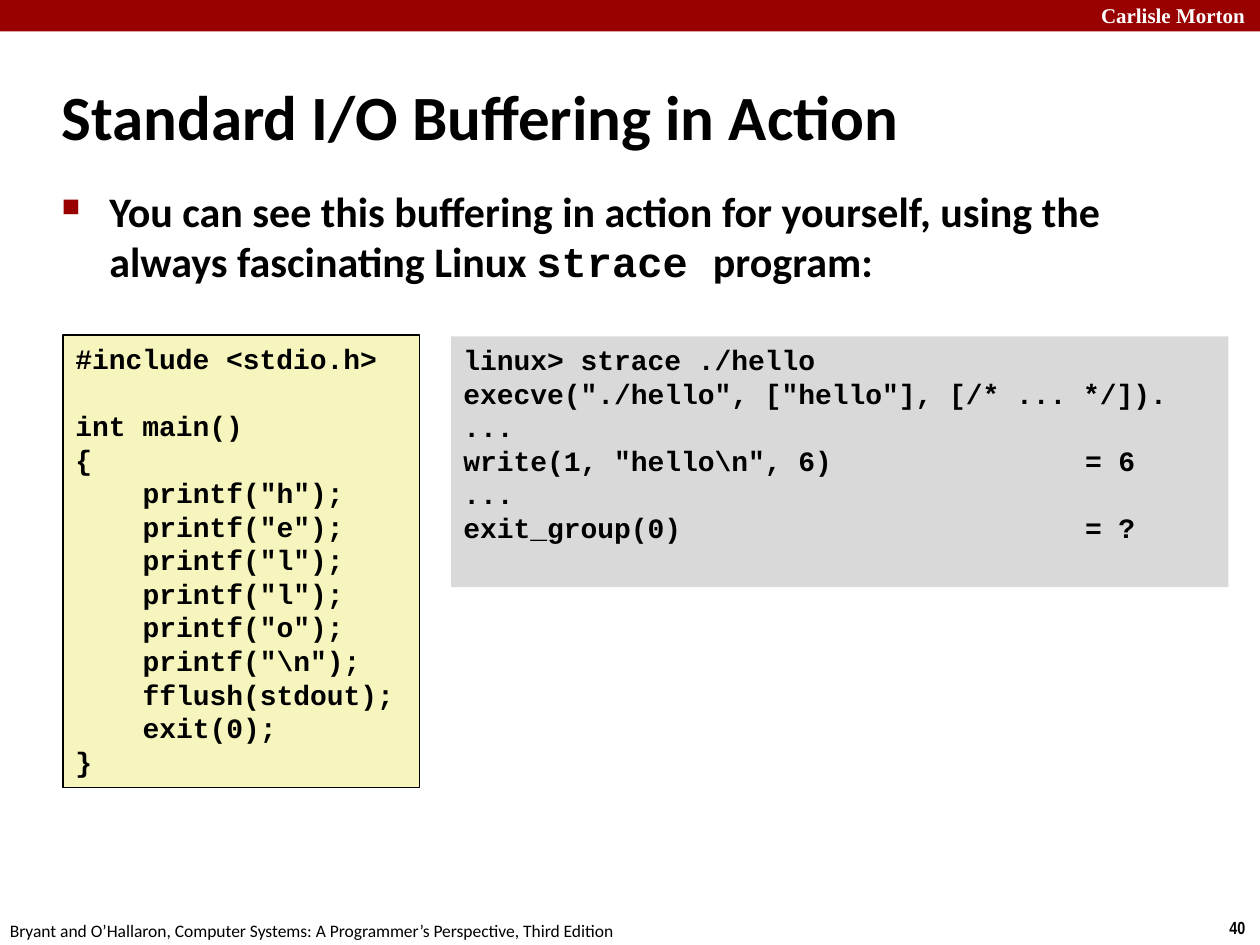
from dataclasses import dataclass

from lxml import etree
from pptx import Presentation
from pptx import util as u
from pptx.dml.color import RGBColor
from pptx.enum import shapes, text
from pptx.oxml import ns


@dataclass(frozen=True)
class Theme:
    red: str = "990000"
    white: str = "FFFFFF"
    black: str = "000000"
    grey: str = "D9D9D9"
    yellow: str = "F6F5BD"
    sans: str = "Calibri"
    serif: str = "Times New Roman"
    narrow: str = "Arial Narrow"
    mono: str = "Courier New"
    title_size: float = 36
    body_size: float = 24
    code_size: float = 16
    code_pitch: float = 19.2
    header_size: float = 12
    footer_size: float = 10


THEME = Theme()
CODE_CHAR = u.Pt(THEME.code_size * 0.6)
RESULT_COLUMN = 37

TRACE = [
    "linux> strace ./hello",
    'execve("./hello", ["hello"], [/* ... */]).',
    "...",
    'write(1, "hello\\n", 6)\t= 6',
    "...",
    "exit_group(0)\t= ?",
]
PROGRAM_OPENING = ["#include <stdio.h>", "int main()", "{"]
PROGRAM_BODY = [f'printf("{letter}");' for letter in ("h", "e", "l", "l", "o", "\\n")]
PROGRAM_BODY += ["fflush(stdout);", "exit(0);"]


def write(paragraph, wording, font=THEME.sans, size=THEME.body_size,
          color=THEME.black, bold=True):
    run = paragraph.add_run()
    run.text = wording
    run.font.name = font
    run.font.size = u.Pt(size)
    run.font.bold = bold
    run.font.color.rgb = RGBColor.from_string(color)


def add_panel(slide, box, fill, line=None):
    panel = slide.shapes.add_shape(shapes.MSO_SHAPE.RECTANGLE, *map(u.Inches, box))
    panel.shadow.inherit = False
    panel.fill.solid()
    panel.fill.fore_color.rgb = RGBColor.from_string(fill)
    if line:
        panel.line.color.rgb = RGBColor.from_string(line)
        panel.line.width = u.Pt(1)
    else:
        panel.line.fill.background()
    return panel


def add_label(slide, box, wording="", wrap=True, anchor=text.MSO_ANCHOR.TOP, **style):
    frame = slide.shapes.add_textbox(*map(u.Inches, box)).text_frame
    frame.word_wrap = wrap
    frame.vertical_anchor = anchor
    if wording:
        write(frame.paragraphs[0], wording, **style)
    return frame.paragraphs[0]


def add_bullet(paragraph, indent):
    properties = paragraph._p.get_or_add_pPr()
    properties.set("marL", str(indent))
    properties.set("indent", str(-indent))
    color = etree.SubElement(properties, ns.qn("a:buClr"))
    etree.SubElement(color, ns.qn("a:srgbClr"), val=THEME.red)
    etree.SubElement(properties, ns.qn("a:buSzPct"), val="60000")
    etree.SubElement(properties, ns.qn("a:buChar"), char="■")


def add_tab_stop(paragraph, position):
    tabs = etree.SubElement(paragraph._p.get_or_add_pPr(), ns.qn("a:tabLst"))
    etree.SubElement(tabs, ns.qn("a:tab"), pos=str(position), algn="l")


def add_code(panel, lines):
    frame = panel.text_frame
    frame.word_wrap = True
    frame.vertical_anchor = text.MSO_ANCHOR.TOP
    paragraphs = [frame.paragraphs[0]] + [frame.add_paragraph() for _ in lines[1:]]
    for paragraph, line in zip(paragraphs, lines):
        paragraph.alignment = text.PP_ALIGN.LEFT
        paragraph.line_spacing = u.Pt(THEME.code_pitch)
        if "\t" in line:
            add_tab_stop(paragraph, RESULT_COLUMN * CODE_CHAR)
        write(paragraph, line, font=THEME.mono, size=THEME.code_size)
    return paragraphs


def add_program(slide):
    panel = add_panel(slide, (0.5, 2.66, 2.83, 3.59), THEME.yellow, THEME.black)
    lines = add_code(panel, PROGRAM_OPENING + PROGRAM_BODY + ["}"])
    lines[1].space_before = u.Pt(THEME.code_pitch)
    for statement in lines[len(PROGRAM_OPENING):-1]:
        statement._p.get_or_add_pPr().set("marL", str(4 * CODE_CHAR))


def add_page_frame(slide):
    add_panel(slide, (0, 0, 10, 0.25), THEME.red)
    add_label(slide, (8.64, -0.03, 1.43, 0.3), "Carlisle Morton",
              font=THEME.serif, size=THEME.header_size, color=THEME.white)
    add_label(slide, (9.66, 7.23, 0.34, 0.27), "40", wrap=False,
              font=THEME.narrow, size=THEME.footer_size)
    add_label(slide, (-0.02, 7.25, 5.08, 0.27),
              "Bryant and O’Hallaron, Computer Systems: "
              "A Programmer’s Perspective, Third Edition",
              wrap=False, size=THEME.footer_size, bold=False)


def add_message(slide):
    add_label(slide, (0.39, 0.5, 8.3, 0.83), "Standard I/O Buffering in Action",
              anchor=text.MSO_ANCHOR.MIDDLE, size=THEME.title_size)
    message = add_label(slide, (0.39, 1.42, 8.64, 5.44))
    add_bullet(message, u.Inches(0.38))
    write(message, "You can see this buffering in action for yourself, "
                   "using the always fascinating Linux ")
    write(message, "strace ", font=THEME.mono)
    write(message, "program:")


def main():
    deck = Presentation()
    deck.slide_width, deck.slide_height = u.Inches(10), u.Inches(7.5)
    slide = deck.slides.add_slide(deck.slide_layouts[6])
    add_page_frame(slide)
    add_message(slide)
    add_code(add_panel(slide, (3.58, 2.67, 6.17, 1.99), THEME.grey), TRACE)
    add_program(slide)
    deck.save("out.pptx")


if __name__ == "__main__":
    main()
